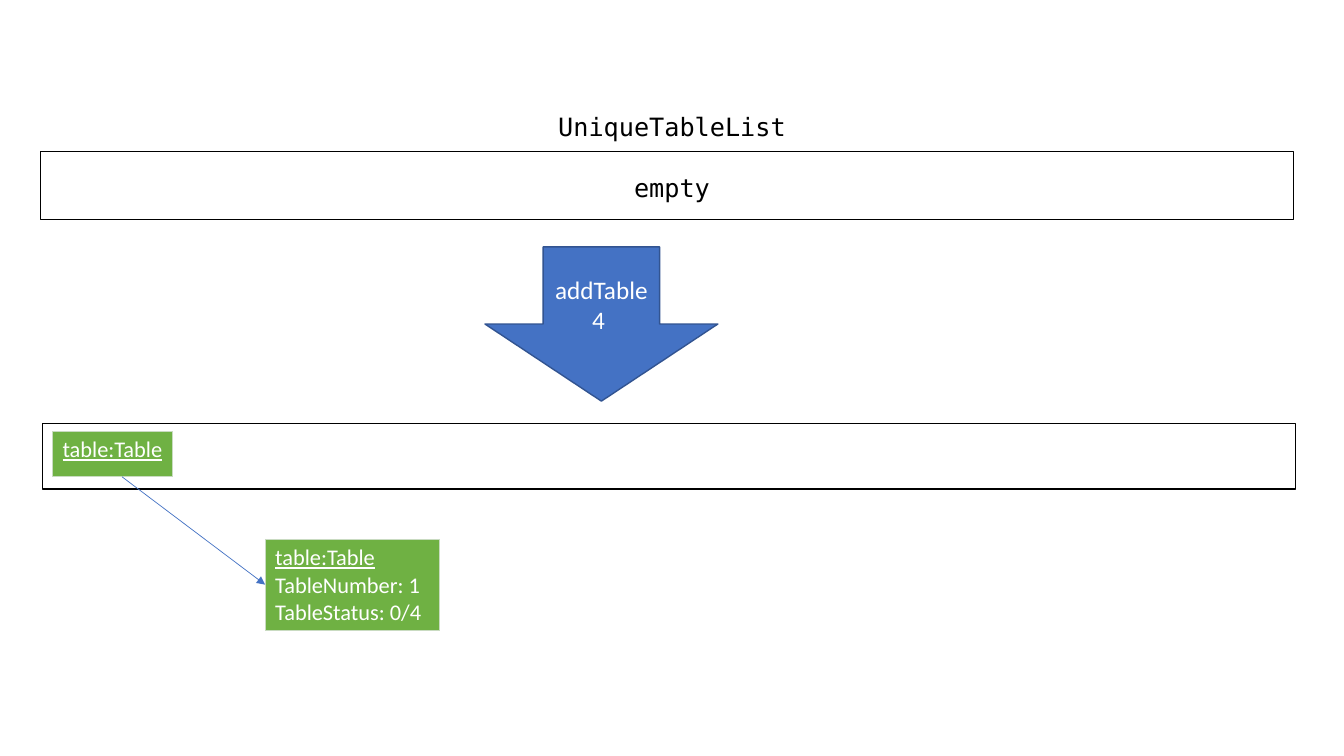
from lxml import etree
from pptx import Presentation
from pptx.dml.color import RGBColor
from pptx.enum.shapes import MSO_CONNECTOR, MSO_SHAPE
from pptx.enum.text import MSO_ANCHOR, PP_ALIGN
from pptx.oxml.ns import qn
from pptx.util import Inches, Pt

RECT, ARROW = MSO_SHAPE.RECTANGLE, MSO_SHAPE.DOWN_ARROW
LINE = MSO_CONNECTOR.STRAIGHT
MID, CENTER = MSO_ANCHOR.MIDDLE, PP_ALIGN.CENTER
SANS, MONO = "Calibri", "DejaVu Sans Mono"
BLUE, GREEN, EDGE = "4472C4", "6FB143", "C9DBC1"


def color(code):
    return RGBColor.from_string(code)


def write(para, text, **form):
    run = para.add_run()
    run.text = text
    run.font.color.rgb = color(form.pop("ink"))
    for key, value in form.items():
        setattr(run.font, key, value)


deck = Presentation()
deck.slide_width, deck.slide_height = Inches(13.33), Inches(7.5)
slide = deck.slides.add_slide(deck.slide_layouts[6])
shapes = slide.shapes

# Arrow and the two list frames
blocks = [
    (ARROW, (4.81, 2.45, 2.31, 1.53), BLUE, "325491", 1),
    (RECT, (0.4, 1.5, 12.43, 0.68), None, "000000", 1),
    (RECT, (0.42, 4.2, 12.43, 0.65), None, "000000", 1),
]
for kind, box, fill, edge, width in blocks:
    block = shapes.add_shape(kind, *map(Inches, box))
    block.shadow.inherit = False
    block.line.color.rgb = color(edge)
    block.line.width = Pt(width)
    if fill is None:
        block.fill.background()
        continue
    block.fill.solid()
    block.fill.fore_color.rgb = color(fill)
    frame = block.text_frame
    frame.word_wrap = True
    frame.vertical_anchor = MID
    para = frame.paragraphs[0]
    para.alignment = CENTER
    write(para, "addTable 4 ", ink="FFFFFF", name=SANS, size=Pt(18))

# Labels of the upper list
for text, top in (("UniqueTableList", 1.06), ("empty", 1.66)):
    label = shapes.add_textbox(*map(Inches, (4.91, top, 3.51, 0.4)))
    label.text_frame.word_wrap = True
    para = label.text_frame.paragraphs[0]
    para.alignment = CENTER
    write(para, text, ink="000000", name=MONO, size=Pt(18))

# Green object cards: the entry and its details
cards = [
    ((0.52, 4.28, 1.19, 0.45), ["table:Table"]),
    ((2.63, 5.35, 1.73, 0.9),
     ["table:Table", "TableNumber: 1", "TableStatus: 0/4"]),
]
for box, rows in cards:
    table = shapes.add_table(1, 1, *map(Inches, box)).table
    cell = table.cell(0, 0)
    frame = cell.text_frame
    for i, text in enumerate(rows):
        para = frame.add_paragraph() if i else frame.paragraphs[0]
        write(para, text, ink="FFFFFF", name=SANS, size=Pt(16),
              bold=False, underline=i == 0)
    props = cell._tc.get_or_add_tcPr()
    for side in ("a:lnL", "a:lnR", "a:lnT", "a:lnB"):
        rule = etree.SubElement(props, qn(side), w=str(Pt(0.5)))
        paint = etree.SubElement(rule, qn("a:solidFill"))
        etree.SubElement(paint, qn("a:srgbClr"), val=EDGE)
    cell.fill.solid()
    cell.fill.fore_color.rgb = color(GREEN)

# Pointer from the entry to its details
link = shapes.add_connector(LINE, *map(Inches, (1.21, 4.73, 2.63, 5.8)))
link.line.color.rgb = color(BLUE)
link.line.width = Pt(0.5)
etree.SubElement(link.line._get_or_add_ln(), qn("a:tailEnd"), type="triangle")
etree.SubElement(link._element.spPr, qn("a:effectLst"))

deck.save("out.pptx")
